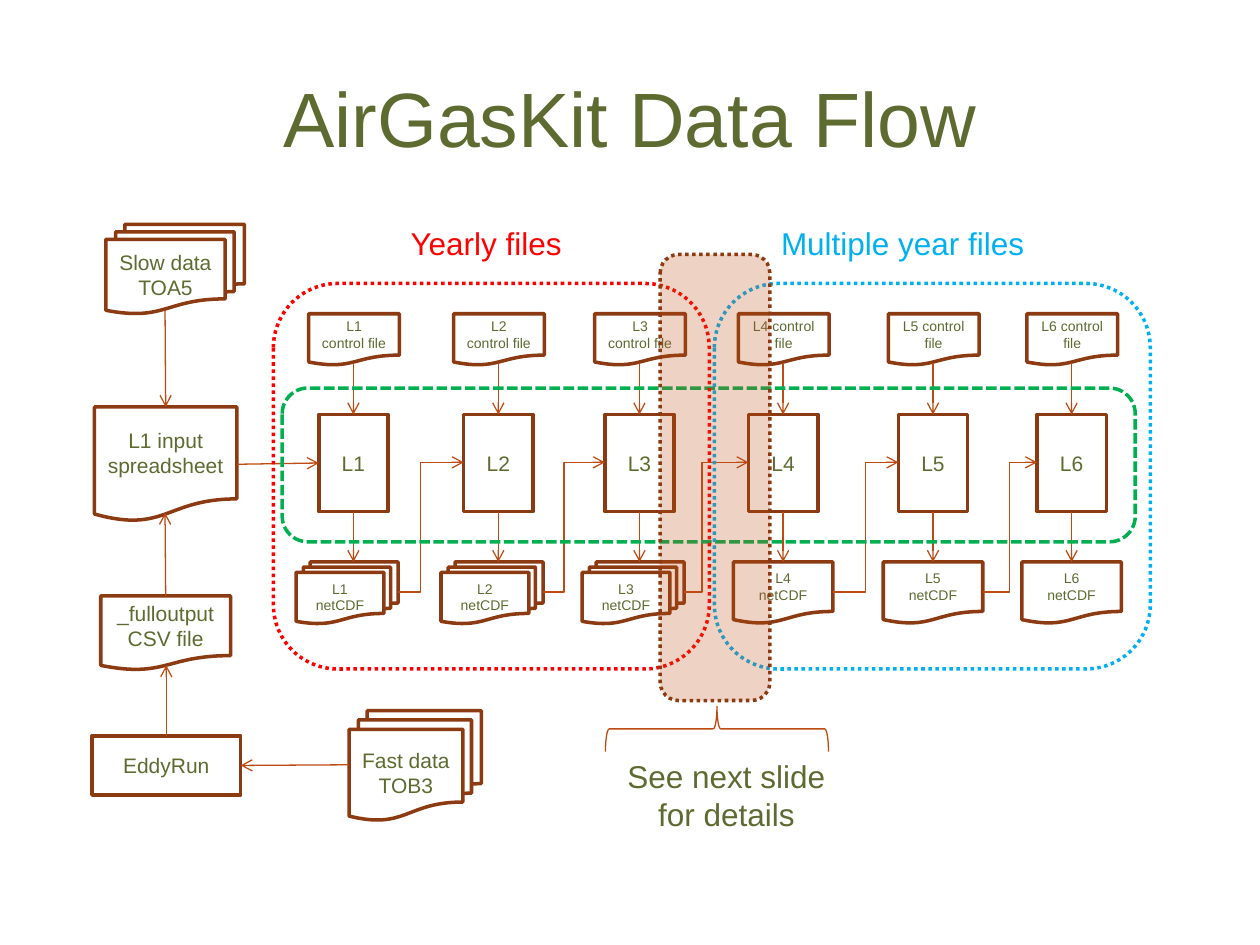
from lxml import etree
from pptx import Presentation
from pptx.dml.color import RGBColor
from pptx.enum.dml import MSO_LINE
from pptx.enum.shapes import MSO_CONNECTOR, MSO_SHAPE
from pptx.enum.text import MSO_ANCHOR, MSO_AUTO_SIZE, PP_ALIGN
from pptx.oxml.ns import qn
from pptx.util import Emu, Pt

PROCESS = MSO_SHAPE.FLOWCHART_PROCESS
DOCUMENT = MSO_SHAPE.FLOWCHART_DOCUMENT
STACK = MSO_SHAPE.FLOWCHART_MULTIDOCUMENT
ROUNDED = MSO_SHAPE.ROUNDED_RECTANGLE
BRACE = MSO_SHAPE.LEFT_BRACE
STRAIGHT, ELBOW = MSO_CONNECTOR.STRAIGHT, MSO_CONNECTOR.ELBOW
DASH, DOT = MSO_LINE.SQUARE_DOT, MSO_LINE.ROUND_DOT
CENTER, LEFT = PP_ALIGN.CENTER, PP_ALIGN.LEFT
TOP_SIDE, LEFT_SIDE, BOTTOM_SIDE, RIGHT_SIDE = range(4)

SCALE = 9144
FONT = "Arial"
OLIVE, BROWN, RUST = "5D6B30", "8C3A11", "BD4B12"
RED, BLUE, GREEN = "FF0000", "00B0F0", "00B050"

TITLE = "AirGasKit Data Flow"
SOURCES = {
    "eddy": (PROCESS, (73, 584, 118, 47), ["EddyRun"]),
    "fast": (STACK, (277, 564, 105, 87), ["Fast data", "TOB3"]),
    "csv": (DOCUMENT, (80, 473, 103, 59), ["_fulloutput", "CSV file"]),
    "sheet": (DOCUMENT, (75, 323, 113, 91), ["L1 input spreadsheet"]),
    "slow": (STACK, (84, 178, 110, 71), ["Slow data", "TOA5"]),
}
LEVELS = [
    ("L1", 253, ["L1", "control file"], STACK),
    ("L2", 368, ["L2", "control file"], STACK),
    ("L3", 480, ["L3", "control file"], STACK),
    ("L4", 594, ["L4 control file"], DOCUMENT),
    ("L5", 713, ["L5 control file"], DOCUMENT),
    ("L6", 823, ["L6 control file"], DOCUMENT),
]
BENDS = [0.34, 0.34, 0.28, 0.5, 0.5]
NETCDF_SIZES = {STACK: (18, 81), DOCUMENT: (12, 79)}
GROUPS = [
    ((224, 308, 677, 122), GREEN, DASH),
    ((217, 225, 346, 306), RED, DOT),
    ((567, 225, 346, 306), BLUE, DOT),
]
LABELS = [
    ((316, 173, 152, 40), "Yearly files", RED, LEFT),
    ((610, 173, 228, 40), "Multiple year files", BLUE, LEFT),
    ((480, 596, 193, 71), "See next slide for details", OLIVE, CENTER),
]


def px(*lengths):
    return [Emu(int(length * SCALE)) for length in lengths]


def color(value):
    return RGBColor.from_string(value)


def write(frame, lines, size, text_color=OLIVE, alignment=CENTER):
    frame.word_wrap = True
    for index, line in enumerate(lines):
        paragraph = frame.add_paragraph() if index else frame.paragraphs[0]
        paragraph.alignment = alignment
        run = paragraph.add_run()
        run.text = line
        run.font.name = FONT
        run.font.size = Pt(size)
        run.font.color.rgb = color(text_color)


def add_outline(kind, box, line_color=BROWN, width=2, dash=None):
    shape = slide.shapes.add_shape(kind, *px(*box))
    shape.shadow.inherit = False
    shape.fill.background()
    shape.line.color.rgb = color(line_color)
    shape.line.width = Pt(width)
    if dash:
        shape.line.dash_style = dash
    return shape


def add_node(kind, box, lines, size=12):
    shape = add_outline(kind, box)
    shape.text_frame.vertical_anchor = MSO_ANCHOR.MIDDLE
    write(shape.text_frame, lines, size)
    return shape


def add_arrow(start, end, start_joint=None, end_joint=None, bend=None):
    kind = ELBOW if bend else STRAIGHT
    connector = slide.shapes.add_connector(kind, *px(*start, *end))
    if start_joint:
        connector.begin_connect(*start_joint)
    if end_joint:
        connector.end_connect(*end_joint)
    connector.line.color.rgb = color(RUST)
    connector.line.width = Pt(0.75)
    properties = connector._element.spPr
    line = properties.find(qn("a:ln"))
    etree.SubElement(line, qn("a:tailEnd"), type="arrow")
    etree.SubElement(properties, qn("a:effectLst"))
    if bend:
        guides = properties.find(".//" + qn("a:avLst"))
        etree.SubElement(guides, qn("a:gd"), name="adj1", fmla=f"val {round(bend * 100000)}")


presentation = Presentation()
presentation.slide_width, presentation.slide_height = px(1000, 750)
slide = presentation.slides.add_slide(presentation.slide_layouts[5])
title = slide.shapes.title
title.left, title.top, title.width, title.height = px(50, 30, 900, 125)
title.text_frame.vertical_anchor = MSO_ANCHOR.MIDDLE
write(title.text_frame, [TITLE], 44)

nodes = {name: add_node(*source) for name, source in SOURCES.items()}

previous_right = None
for index, (level, left, control_lines, netcdf_kind) in enumerate(LEVELS):
    center = left + 55 / 2
    offset, netcdf_width = NETCDF_SIZES[netcdf_kind]
    process = add_node(PROCESS, (left, 329, 55, 77), [level])
    add_node(DOCUMENT, (left - 8, 249, 72, 41), control_lines, 8)
    add_node(netcdf_kind, (left - offset, 446, netcdf_width, 49), [level, "netCDF"], 8)
    add_arrow((center, 288), (center, 329), end_joint=(process, TOP_SIDE))
    add_arrow((center, 406), (center, 446), start_joint=(process, BOTTOM_SIDE))
    if previous_right:
        add_arrow((previous_right, 470), (left, 367), bend=BENDS[index - 1])
    previous_right = left - offset + netcdf_width
    nodes[level] = process

add_arrow((188, 368), (253, 367), (nodes["sheet"], RIGHT_SIDE), (nodes["L1"], LEFT_SIDE))
add_arrow((277, 607), (191, 607), end_joint=(nodes["eddy"], RIGHT_SIDE))
add_arrow((132, 584), (132, 528), start_joint=(nodes["eddy"], TOP_SIDE))
add_arrow((132, 473), (131, 407), start_joint=(nodes["csv"], TOP_SIDE))
add_arrow((131, 246), (131, 323), end_joint=(nodes["sheet"], TOP_SIDE))

for box, line_color, dash in GROUPS:
    add_outline(ROUNDED, box, line_color, dash=dash)

highlight = add_outline(ROUNDED, (524, 202, 87, 354), dash=DOT)
highlight.fill.solid()
highlight.fill.fore_color.rgb = color("BD4E17")
fill_color = highlight._element.spPr.find(qn("a:solidFill"))[0]
etree.SubElement(fill_color, qn("a:alpha"), val="25000")

for box, text, text_color, alignment in LABELS:
    label = slide.shapes.add_textbox(*px(*box))
    label.text_frame.auto_size = MSO_AUTO_SIZE.SHAPE_TO_FIT_TEXT
    write(label.text_frame, [text], 18, text_color, alignment)

brace = add_outline(BRACE, (551, 490, 36, 177), RUST, 0.75)
brace.rotation = 90

presentation.save("out.pptx")
